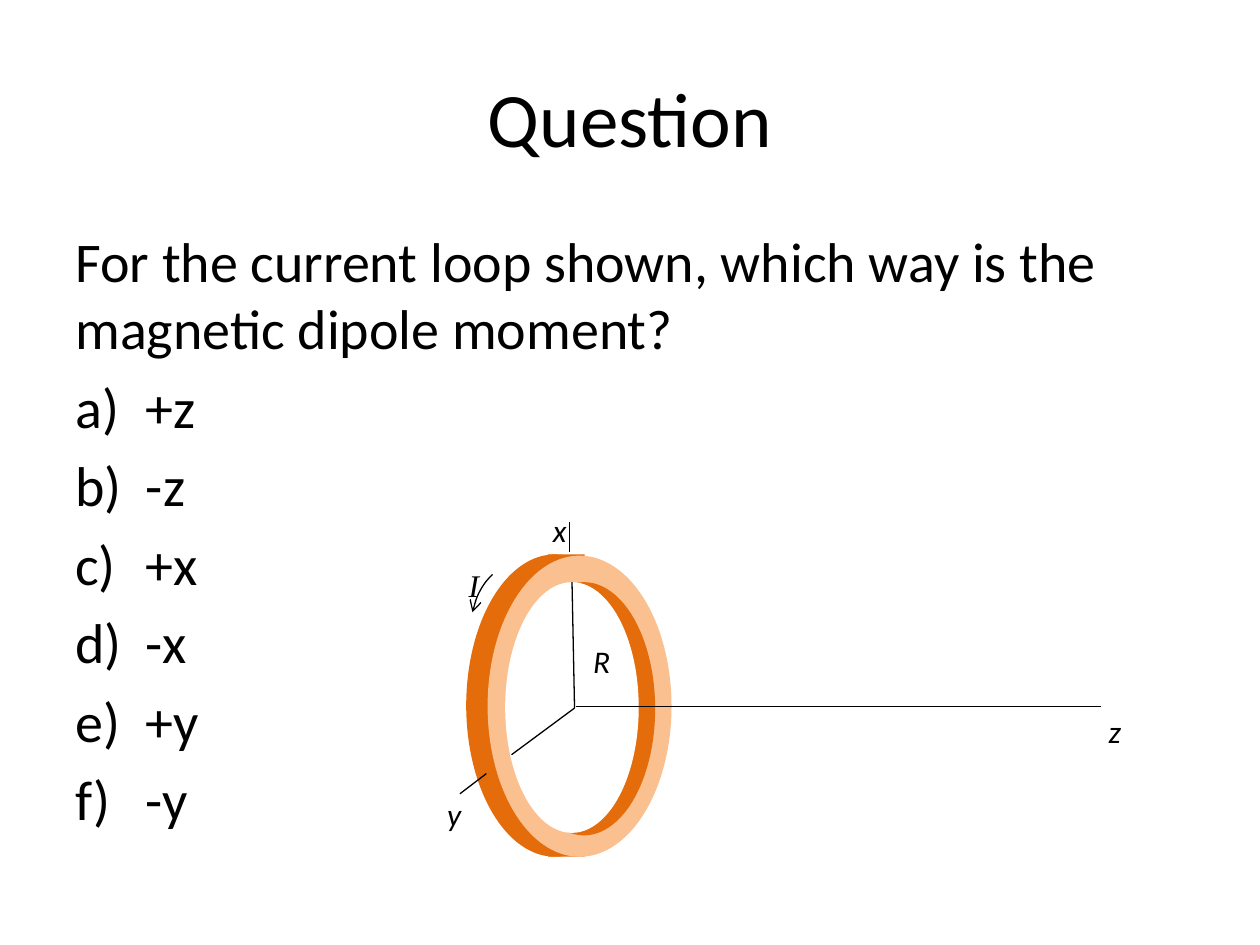
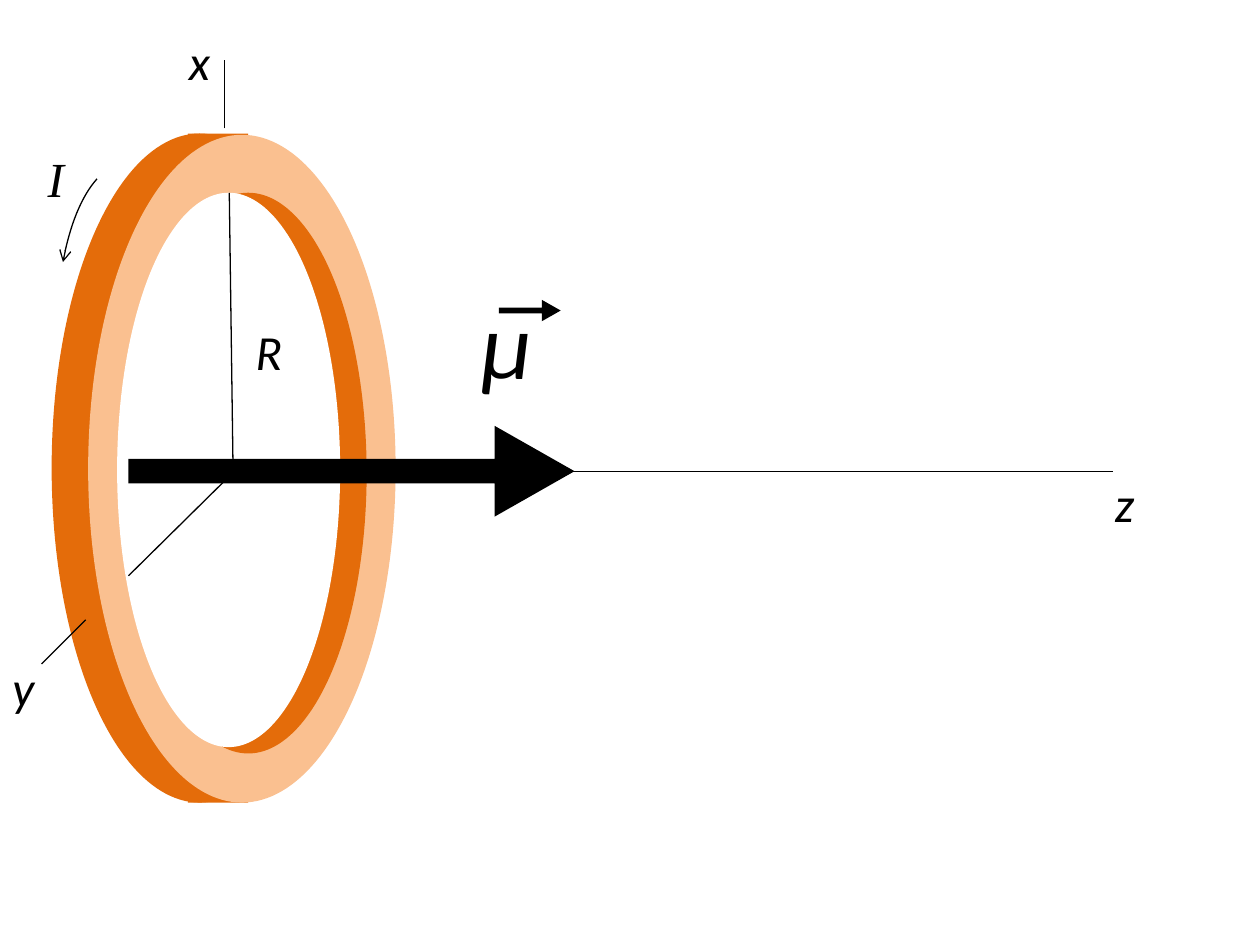
"""Build two slides on the magnetic dipole moment of a current loop."""
from lxml.etree import SubElement
from pptx import Presentation
from pptx.dml.color import RGBColor
from pptx.enum.shapes import MSO_CONNECTOR, MSO_SHAPE
from pptx.enum.text import MSO_ANCHOR, MSO_AUTO_SIZE, PP_ALIGN
from pptx.oxml.ns import qn
from pptx.util import Inches, Pt

COLORS = {"ink": "000000", "shade": "E46C0A", "face": "FAC090", "hole": "FFFFFF"}
BODY_FONT, CURRENT_FONT = "Calibri", "Times New Roman"
RING_PARTS = [
    (MSO_SHAPE.OVAL, "shade"),
    (MSO_SHAPE.RECTANGLE, "shade"),
    (MSO_SHAPE.OVAL, "face"),
    (MSO_SHAPE.OVAL, "shade"),
    (MSO_SHAPE.OVAL, "hole"),
]
CURVE_STEPS = 16

QUESTION = "For the current loop shown, which way is the magnetic dipole moment?"
ANSWERS = ["+z", "-z", "+x", "-x", "+y", "-y"]

DIAGRAMS = [
    {
        "label_size": 18,
        "ring": [(3.7, 4.4, 1.41, 2.4), (4.35, 4.4, 0.29, 2.4), (3.87, 4.41, 1.46, 2.39),
                 (4.07, 4.62, 1.13, 2.01), (4.01, 4.62, 1.06, 1.99)],
        "axes": [(4.56, 5.62, 4.54, 4.62), (4.56, 5.62, 4.06, 5.99), (4.52, 4.38, 4.52, 4.14),
                 (3.86, 6.14, 3.65, 6.3), (4.57, 5.61, 8.74, 5.61)],
        "current": [(3.91, 4.56), (3.81, 4.69), (3.75, 4.86)],
        "labels": {"R": (4.61, 5.05, 0.34, 0.4), "x": (4.29, 4.01, 0.31, 0.4),
                   "y": (3.45, 6.26, 0.31, 0.4), "I": (3.62, 4.44, 0.29, 0.4),
                   "z": (8.7, 5.6, 0.3, 0.4)},
        "moment_arrows": [],
    },
    {
        "label_size": 28,
        "ring": [(0.41, 1.06, 2.35, 5.31), (1.49, 1.06, 0.48, 5.31), (0.7, 1.07, 2.44, 5.3),
                 (1.03, 1.53, 1.88, 4.45), (0.93, 1.53, 1.77, 4.4)],
        "axes": [(1.85, 3.75, 1.82, 1.53), (1.85, 3.75, 1.02, 4.57), (1.78, 1.02, 1.78, 0.48),
                 (0.68, 4.92, 0.33, 5.27), (1.86, 3.74, 8.83, 3.74)],
        "current": [(0.77, 1.42), (0.61, 1.69), (0.5, 2.08)],
        "labels": {"R": (1.93, 2.5, 0.42, 0.57), "x": (1.4, 0.2, 0.37, 0.57),
                   "y": (0, 5.17, 0.38, 0.57), "I": (0.28, 1.13, 0.33, 0.57),
                   "z": (8.75, 3.71, 0.36, 0.57), "μ": (3.72, 2.21, 0.64, 1.01)},
        "moment_arrows": [(1.02, 3.38, 3.54, 0.72), (3.96, 2.38, 0.49, 0.17)],
    },
]


def add_text(page, place, text, size, font=BODY_FONT, italic=False, wrap=True):
    box = page.shapes.add_textbox(*map(Inches, place))
    frame = box.text_frame
    frame.text = text
    frame.word_wrap = wrap
    frame.auto_size = MSO_AUTO_SIZE.NONE if wrap else MSO_AUTO_SIZE.SHAPE_TO_FIT_TEXT
    for paragraph in frame.paragraphs:
        for span in paragraph.runs:
            span.font.name = font
            span.font.size = Pt(size)
            span.font.italic = italic
            span.font.color.rgb = RGBColor.from_string(COLORS["ink"])
    return frame


def add_solid(page, kind, place, color):
    shape = page.shapes.add_shape(kind, *map(Inches, place))
    shape.shadow.inherit = False
    shape.fill.solid()
    shape.fill.fore_color.rgb = RGBColor.from_string(COLORS[color])
    shape.line.fill.background()
    return shape


deck = Presentation()
deck.slide_width, deck.slide_height = Inches(10), Inches(7.5)
pages = [deck.slides.add_slide(deck.slide_layouts[6]) for _ in DIAGRAMS]

title = add_text(pages[0], (0.5, 0.3, 9, 1.25), "Question", 44)
title.vertical_anchor = MSO_ANCHOR.MIDDLE
title.paragraphs[0].alignment = PP_ALIGN.CENTER

body = add_text(pages[0], (0.5, 1.75, 9, 4.95), "\n".join([QUESTION, *ANSWERS]), 32)
for paragraph in body.paragraphs[1:]:
    paragraph.space_before = Pt(6.4)
    properties = paragraph._p.get_or_add_pPr()
    properties.set("marL", str(Inches(0.56)))
    properties.set("indent", str(-Inches(0.56)))
    SubElement(properties, qn("a:buFont"), typeface="+mj-lt")
    SubElement(properties, qn("a:buAutoNum"), type="alphaLcParenR")

for page, diagram in zip(pages, DIAGRAMS):
    for (kind, color), place in zip(RING_PARTS, diagram["ring"]):
        add_solid(page, kind, place, color)

    strokes = []
    for ends in diagram["axes"]:
        axis = page.shapes.add_connector(MSO_CONNECTOR.STRAIGHT, *map(Inches, ends))
        SubElement(axis._element.spPr, qn("a:effectLst"))
        strokes.append(axis)

    start, middle, end = diagram["current"]
    bend = [2 * m - (s + e) / 2 for s, m, e in zip(start, middle, end)]
    curve = []
    for step in range(CURVE_STEPS + 1):
        t = step / CURVE_STEPS
        curve.append([Inches((1 - t) ** 2 * s + 2 * t * (1 - t) * b + t ** 2 * e)
                      for s, b, e in zip(start, bend, end)])
    builder = page.shapes.build_freeform(*curve[0])
    builder.add_line_segments(curve[1:], close=False)
    current = builder.convert_to_shape()
    current.shadow.inherit = False
    current.fill.background()
    strokes.append(current)

    for stroke in strokes:
        stroke.line.color.rgb = RGBColor.from_string(COLORS["ink"])
        stroke.line.width = Pt(0.75)
    SubElement(current.line._get_or_add_ln(), qn("a:tailEnd"), type="arrow")

    for place in diagram["moment_arrows"]:
        arrow = add_solid(page, MSO_SHAPE.RIGHT_ARROW, place, "ink")
        arrow.adjustments[0], arrow.adjustments[1] = 0.27, 0.88

    for label, place in diagram["labels"].items():
        size = 54 if label == "μ" else diagram["label_size"]
        font = CURRENT_FONT if label == "I" else BODY_FONT
        add_text(page, place, label, size, font, italic=True, wrap=False)

deck.save("out.pptx")
